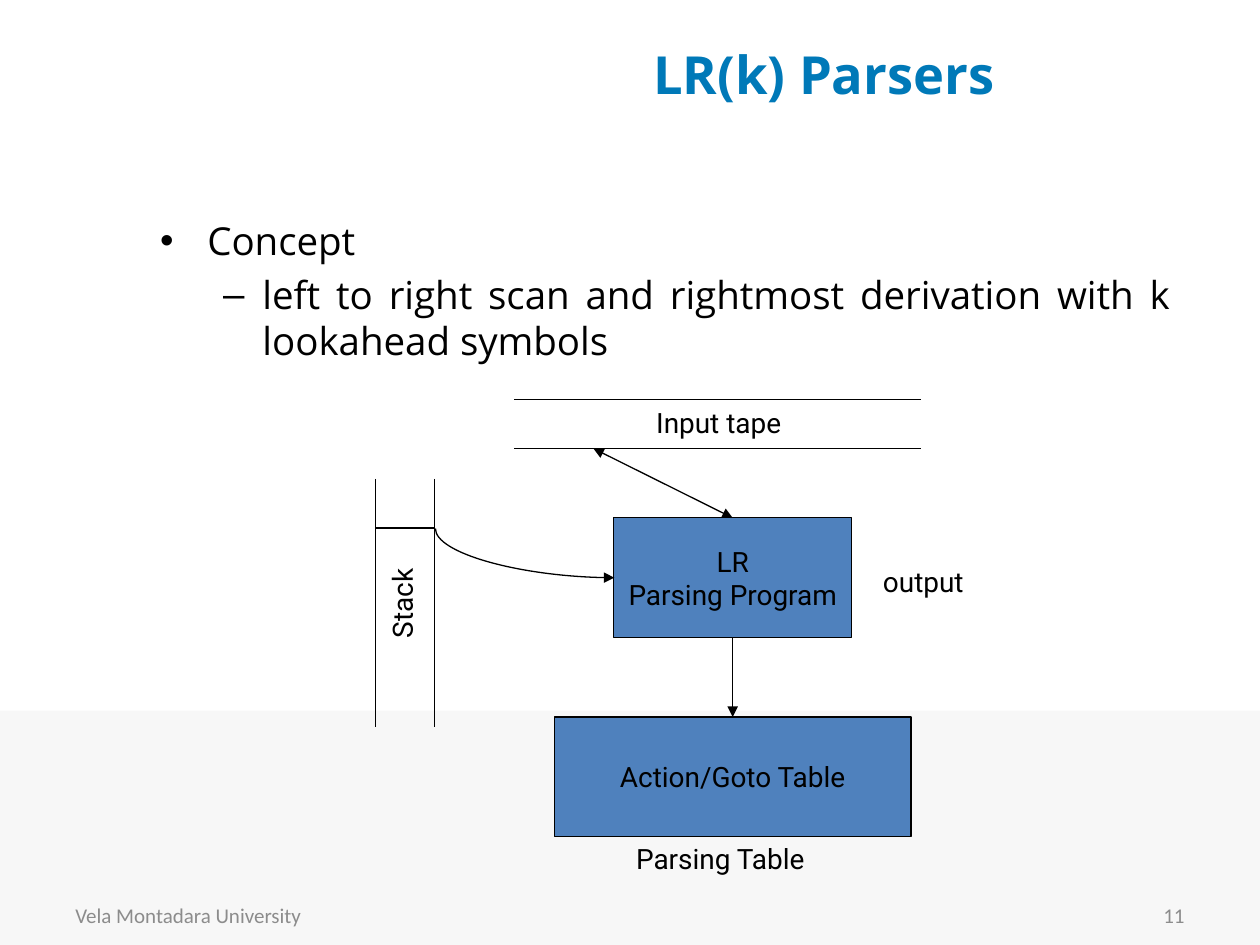
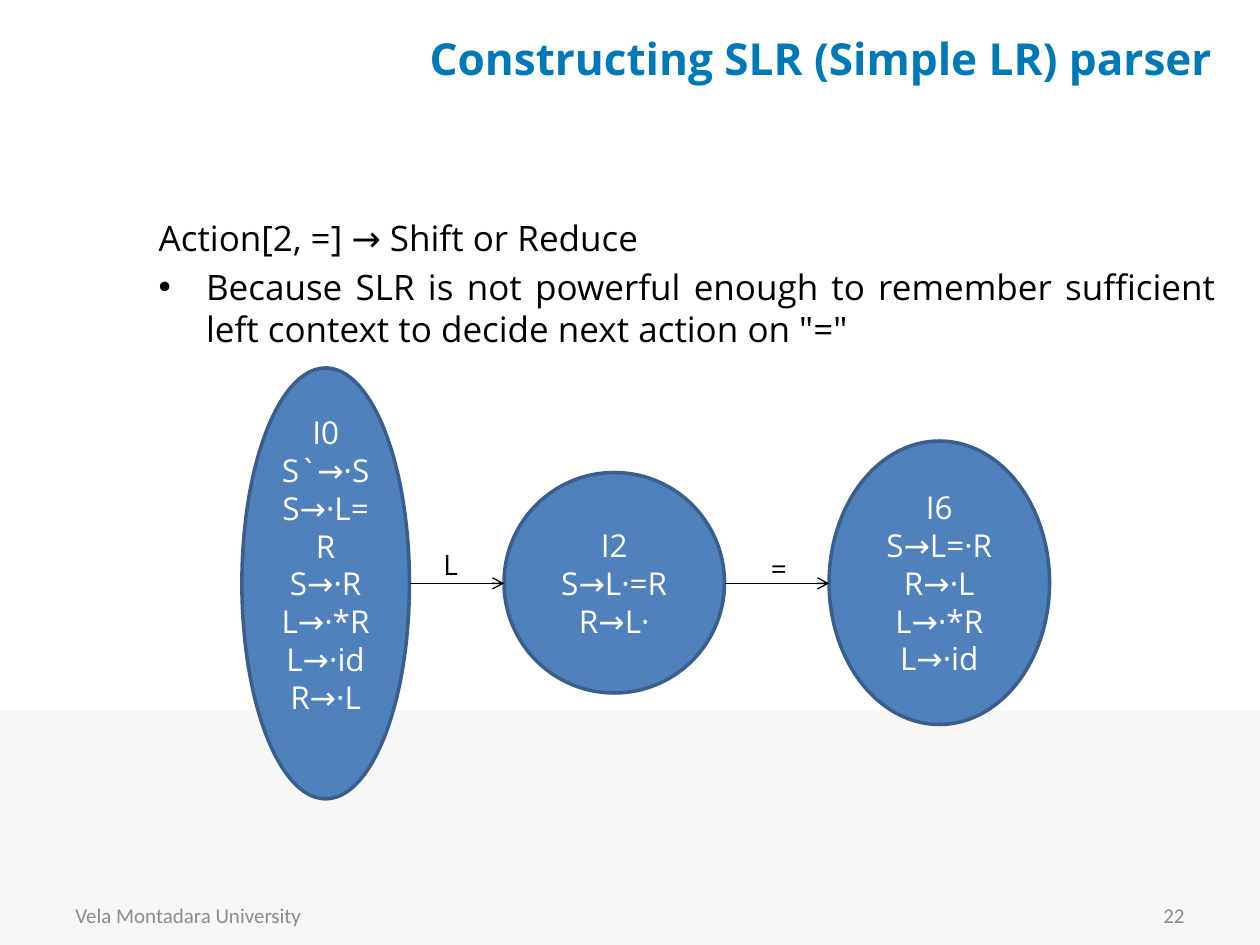
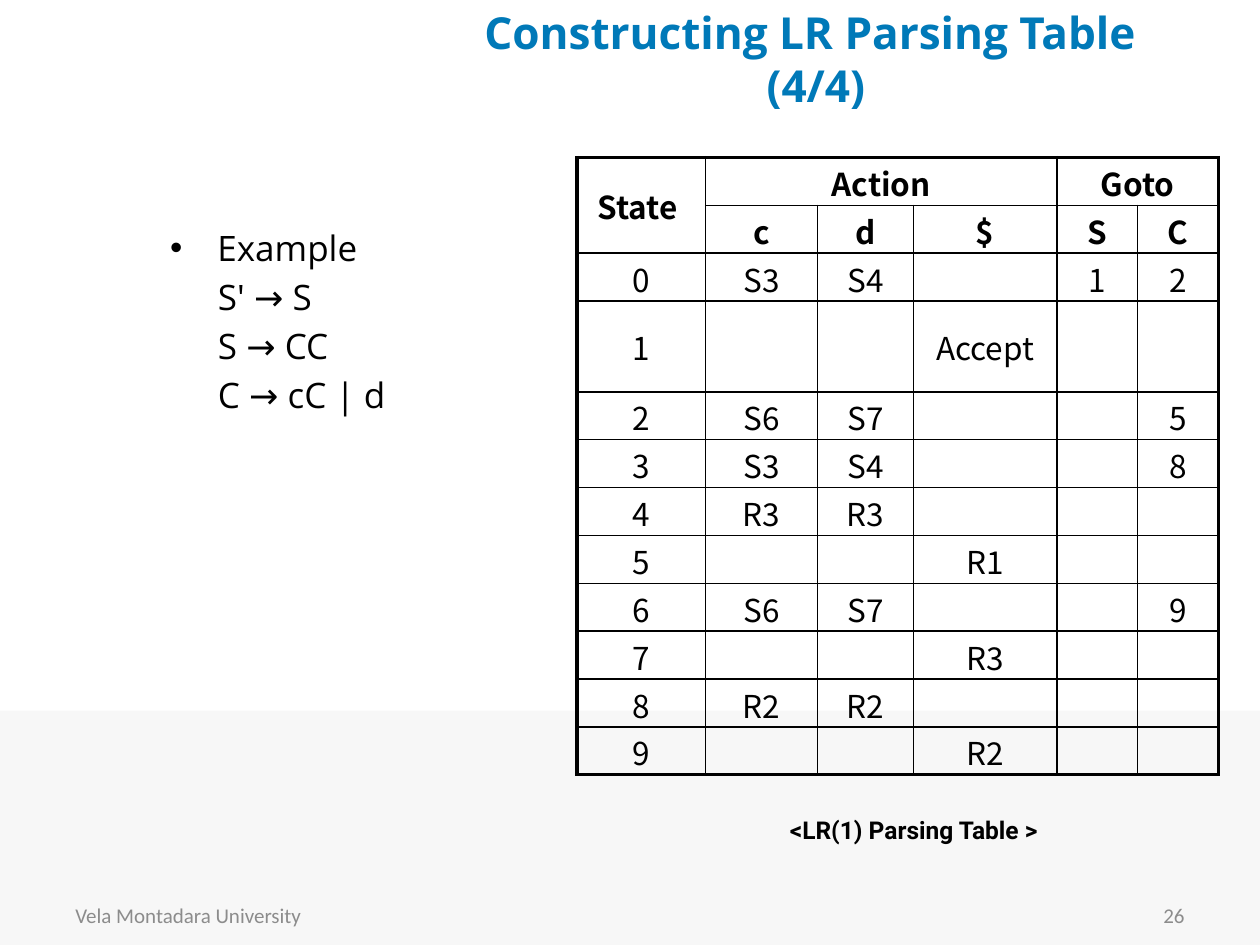
from copy import deepcopy
from lxml import etree
from pptx import Presentation
from pptx.dml.color import RGBColor
from pptx.enum.shapes import MSO_CONNECTOR, MSO_SHAPE
from pptx.enum.text import MSO_ANCHOR, MSO_AUTO_SIZE, PP_ALIGN
from pptx.oxml.ns import qn
from pptx.util import Inches, Pt

LEFT, CENTER, RIGHT, JUST = PP_ALIGN.LEFT, PP_ALIGN.CENTER, PP_ALIGN.RIGHT, PP_ALIGN.JUSTIFY
TOP, MIDDLE = MSO_ANCHOR.TOP, MSO_ANCHOR.MIDDLE
RECT, OVAL = MSO_SHAPE.RECTANGLE, MSO_SHAPE.OVAL
STRAIGHT, CURVE = MSO_CONNECTOR.STRAIGHT, MSO_CONNECTOR.CURVE
FIXED = MSO_AUTO_SIZE.NONE

BLACK, WHITE, GREY, BAND = "000000", "FFFFFF", "8C8C8C", "F7F7F7"
HEAD, BLUE, EDGE = "0079B8", "4F81BD", "3A5F8C"
SANS, ROBOTO, CALIBRI, NOTO = "Open Sans", "Roboto", "Calibri", "Noto Sans CJK KR"
SCHOOL = "Vela Montadara University"

PAGES = [
    dict(title="LR(k) Parsers", spot=(3.27, 0.17, 6.54, 0.83), big=30, num="11",
         area=(1.17, 1.67, 8.22, 5.27), size=22, align=JUST,
         items=[(0, None, "Concept"),
                (1, None, "left to right scan and rightmost derivation with k lookahead symbols")]),
    dict(title="Constructing SLR (Simple LR) parser", spot=(3.17, 0.17, 6.69, 0.58),
         big=25.2, num="22", area=(1.16, 1.67, 8.59, 5.5), size=20, align=JUST,
         items=[(0, 0, "Action[2, =] → Shift or Reduce"),
                (0, None, "Because SLR is not powerful enough to remember sufficient "
                          "left context to decide next action on \"=\"")]),
    dict(title="Constructing LR Parsing Table \n(4/4)", spot=(3.13, 0.17, 6.69, 0.58),
         big=25.2, num="26", area=(1.25, 1.75, 3, 5.14), size=20, align=LEFT,
         items=[(0, None, "Example"), (0, 0.38, "S' → S"),
                (0, 0.38, "S → CC"), (0, 0.38, "C → cC | d")]),
]

BOXES = [("LR\nParsing Program", (4.87, 4.11, 1.89, 0.95)),
         ("Action/Goto Table", (4.4, 5.69, 2.83, 0.95))]
LABELS = [("output", (6.91, 4.43, 1.26, 0.37), 0),
          ("Input tape", (5.11, 3.17, 1.26, 0.37), 0),
          ("Stack", (2.56, 4.35, 1.26, 0.37), 270),
          ("Parsing Table", (4.95, 6.63, 1.65, 0.37), 0)]
RULES = [(4.08, 3.17, 7.31, 3.17), (4.08, 3.56, 7.31, 3.56),
         (2.98, 3.8, 2.98, 5.77), (3.45, 3.8, 3.45, 5.77),
         (2.98, 4.19, 3.45, 4.19)]

STATES = [(["I0", "S`→·S\nS→·L=R\nS→·R\nL→·*R\nL→·id\nR→·L"], (1.92, 2.92, 1.33, 3.42), 0.35),
          (["I2", "S→L·=R\nR→L·"], (4, 3.75, 1.75, 1.75), 0.05),
          (["I6", "S→L=·R\nR→·L\nL→·*R\nL→·id"], (6.58, 3.5, 1.75, 2.25), 0.05)]
MOVES = [("L", (3.42, 4.3, 0.39, 0.37)), ("=", (6.02, 4.33, 0.39, 0.37))]
MID = 4.63

GRID = ["State ,Action,,,Goto,", ",c,d,$,S,C",
        "0,S3,S4,,1,2", "1,,,Accept,,", "2,S6,S7,,,5", "3,S3,S4,,,8",
        "4,R3,R3,,,", "5,,,R1,,", "6,S6,S7,,,9", "7,,,R3,,",
        "8,R2,R2,,,", "9,,,R2,,"]
SPANS = [(0, 0, 1, 0), (0, 1, 0, 3), (0, 4, 0, 5)]
WIDTHS = [1.02, 0.89, 0.76, 1.14, 0.64, 0.64]
HEADS, TALL = 2, 3


def color(code):
    return RGBColor.from_string(code)


def inch(spot):
    return [Inches(v) for v in spot]


def write(frame, paras, size, font=SANS, ink=BLACK, bold=False, align=LEFT):
    for i, text in enumerate(paras):
        para = frame.add_paragraph() if i else frame.paragraphs[0]
        para.alignment = align
        for j, line in enumerate(text.split("\n")):
            if j:
                para.add_line_break()
                para._p[-1].append(deepcopy(run._r.get_or_add_rPr()))
            run = para.add_run()
            run.text = line
            face = run.font
            face.size, face.name, face.bold = Pt(size), font, bold
            face.color.rgb = color(ink)


def label(slide, text, spot, size, turn=0, anchor=TOP, **style):
    box = slide.shapes.add_textbox(*inch(spot))
    box.rotation = turn
    box.text_frame.word_wrap = True
    box.text_frame.vertical_anchor = anchor
    write(box.text_frame, [text], size, **style)


def block(slide, kind, spot, fill, edge=None, width=0.75):
    shape = slide.shapes.add_shape(kind, *inch(spot))
    shape.shadow.inherit = False
    shape.fill.solid()
    shape.fill.fore_color.rgb = color(fill)
    if edge:
        shape.line.color.rgb = color(edge)
        shape.line.width = Pt(width)
    else:
        shape.line.fill.background()
    shape.text_frame.vertical_anchor = MIDDLE
    return shape


def link(slide, ends, head=None, tail=None, kind=STRAIGHT):
    line = slide.shapes.add_connector(kind, *inch(ends))
    line.line.color.rgb = color(BLACK)
    line.line.width = Pt(0.75)
    props = line.element.spPr
    for tag, tip in (("a:headEnd", head), ("a:tailEnd", tail)):
        if tip:
            etree.SubElement(props.find(qn("a:ln")), qn(tag), type=tip)
    etree.SubElement(props, qn("a:effectLst"))
    return line


def place(shape, spot, anchor):
    shape.left, shape.top, shape.width, shape.height = inch(spot)
    frame = shape.text_frame
    frame.auto_size, frame.word_wrap, frame.vertical_anchor = FIXED, True, anchor
    return frame


def start(deck, page):
    slide = deck.slides.add_slide(deck.slide_layouts[1])
    title, body = slide.placeholders
    write(place(title, page["spot"], MIDDLE), [page["title"]], page["big"],
          ink=HEAD, bold=True, align=CENTER)
    frame = place(body, page["area"], TOP)
    items = page["items"]
    write(frame, [text for _, _, text in items], page["size"], align=page["align"])
    for para, (level, indent, _) in zip(frame.paragraphs, items):
        para.level = level
        if indent is not None:
            props = para._p.get_or_add_pPr()
            props.set("marL", str(Inches(indent)))
            props.set("indent", "0")
            etree.SubElement(props, qn("a:buNone"))
    for text, left, align in ((SCHOOL, 0.5, LEFT), (page["num"], 7.17, RIGHT)):
        label(slide, text, (left, 7.06, 2.33, 0.4), 12, anchor=MIDDLE,
              font=CALIBRI, ink=GREY, align=align)
    return slide


def draw_parser(slide):
    boxes = []
    for text, spot in BOXES:
        box = block(slide, RECT, spot, BLUE, BLACK)
        box.text_frame.word_wrap = False
        write(box.text_frame, [text], 16, ROBOTO, align=CENTER)
        boxes.append(box)
    for text, spot, turn in LABELS:
        label(slide, text, spot, 16, turn, font=ROBOTO)
    for ends in RULES:
        link(slide, ends)
    program, table = boxes
    down = link(slide, (5.82, 5.06, 5.82, 5.69), tail="triangle")
    down.begin_connect(program, 2)
    down.end_connect(table, 0)
    scan = link(slide, (4.71, 3.56, 5.82, 4.11), "triangle", "triangle")
    scan.end_connect(program, 0)
    bend = link(slide, (3.97, 3.68, 4.36, 5.1), tail="triangle", kind=CURVE)
    props = bend.element.spPr
    props.find(qn("a:prstGeom")).set("prst", "curvedConnector2")
    frame = props.find(qn("a:xfrm"))
    frame.set("rot", str(270 * 60000))
    frame.set("flipH", "1")


def draw_states(slide):
    for paras, spot, inset in STATES:
        oval = block(slide, OVAL, spot, BLUE, EDGE, 2)
        oval.text_frame.word_wrap = True
        oval.text_frame.margin_bottom = Inches(inset)
        write(oval.text_frame, paras, 18, ink=WHITE, align=CENTER)
    for (text, spot), (_, here, _), (_, there, _) in zip(MOVES, STATES, STATES[1:]):
        label(slide, text, spot, 16)
        link(slide, (here[0] + here[2], MID, there[0], MID), tail="arrow")


def border(cell, row, col):
    last, end = row + cell.span_height, col + cell.span_width
    across = {0: 2.25, HEADS: 1.5, len(GRID): 2.25}
    down = {0: 2.25, len(WIDTHS): 2.25}
    sides = (("L", down.get(col, 1)), ("R", down.get(end, 1)),
             ("T", across.get(row, 1)), ("B", across.get(last, 1)))
    props = cell._tc.get_or_add_tcPr()
    for side, width in sides:
        line = etree.SubElement(props, qn("a:ln" + side), w=str(Pt(width)))
        fill = etree.SubElement(line, qn("a:solidFill"))
        etree.SubElement(fill, qn("a:srgbClr"), val=BLACK)


def draw_table(slide):
    table = slide.shapes.add_table(len(GRID), len(WIDTHS),
                                   *inch((4.58, 1.25, 5.08, 4.92))).table
    table.first_row = table.horz_banding = False
    for col, width in zip(table.columns, WIDTHS):
        col.width = Inches(width)
    for top, left, low, right in SPANS:
        table.cell(top, left).merge(table.cell(low, right))
    for r, line in enumerate(GRID):
        table.rows[r].height = Inches(0.72 if r == TALL else 0.38)
        for c, text in enumerate(line.split(",")):
            cell = table.cell(r, c)
            cell.margin_left = cell.margin_right = Inches(0.02)
            cell.margin_top = cell.margin_bottom = Inches(0.02)
            cell.vertical_anchor = MIDDLE
            border(cell, r, c)
            cell.fill.background()
            if text:
                write(cell.text_frame, [text], 18, NOTO, bold=r < HEADS, align=CENTER)
    label(slide, "<LR(1) Parsing Table >", (6.17, 6.42, 2.68, 0.33), 14,
          font=ROBOTO, bold=True)


def main():
    deck = Presentation()
    deck.slide_width, deck.slide_height = Inches(10), Inches(7.5)
    for page, draw in zip(PAGES, (draw_parser, draw_states, draw_table)):
        draw(start(deck, page))
    band = block(deck.slides[0], RECT, (0, 5.64, 10, 1.86), BAND)
    deck.slide_master.shapes.element.insert(2, band.element)
    deck.save("out.pptx")


if __name__ == "__main__":
    main()
